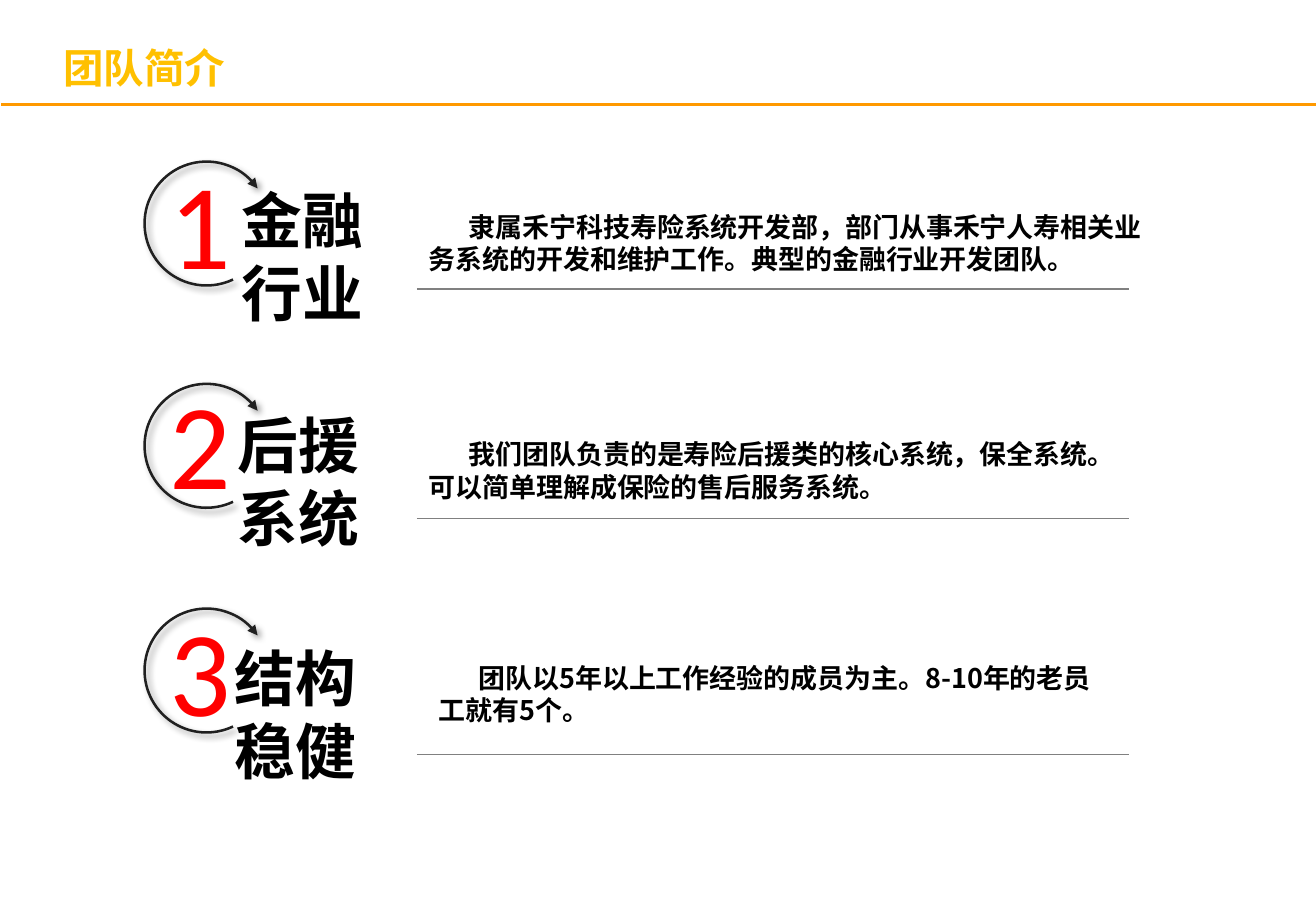
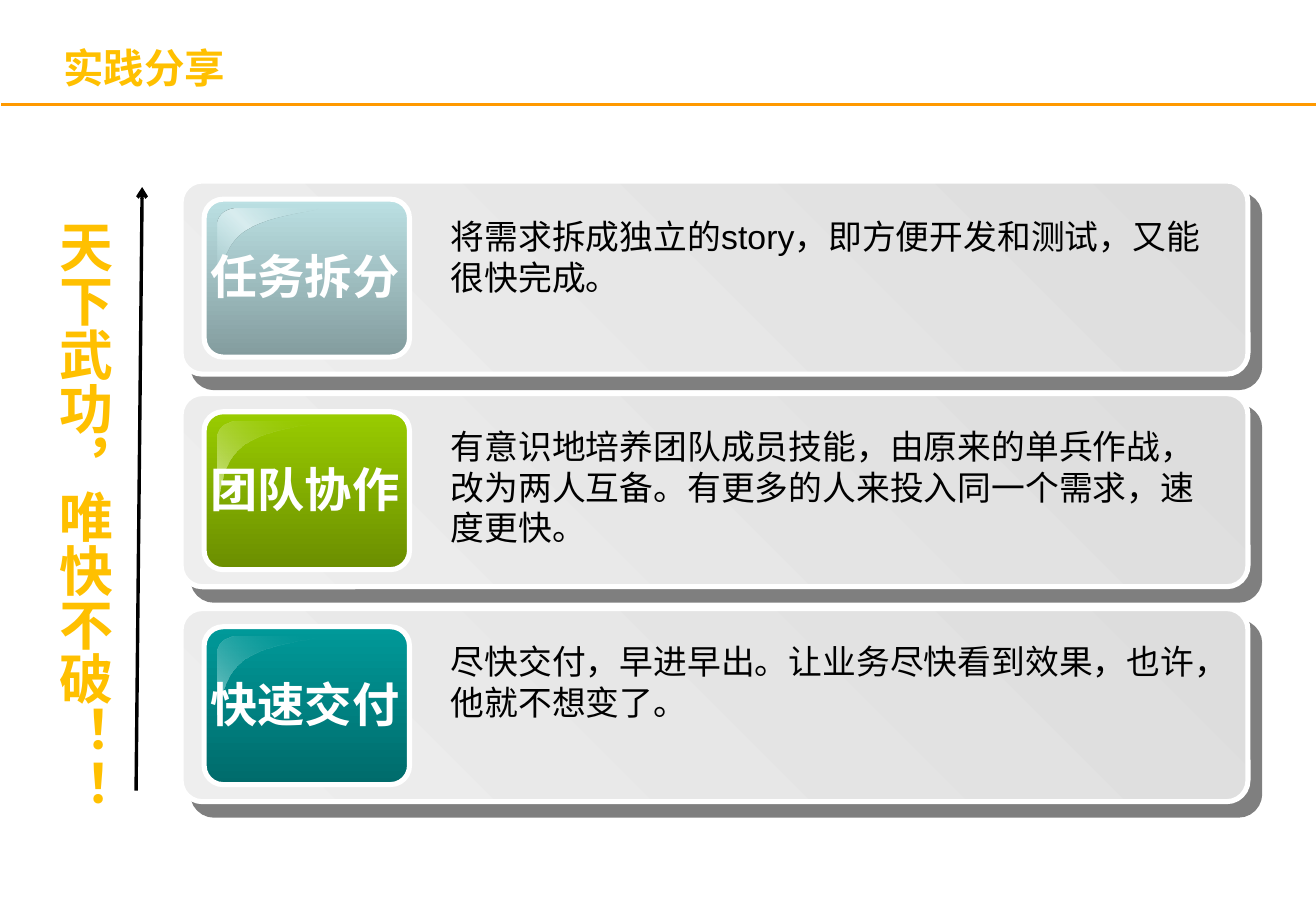
"""Build two slides: a team introduction and a summary of working practices."""
from dataclasses import dataclass
from typing import Any

import lxml.etree
import pptx
import pptx.dml.color
import pptx.enum.shapes
import pptx.enum.text
import pptx.oxml
import pptx.oxml.ns
import pptx.slide
import pptx.util

Inches = pptx.util.Inches
Pt = pptx.util.Pt
Shape = pptx.enum.shapes.MSO_SHAPE
Anchor = pptx.enum.text.MSO_ANCHOR
Align = pptx.enum.text.PP_ALIGN
AutoSize = pptx.enum.text.MSO_AUTO_SIZE
qn = pptx.oxml.ns.qn

COLORS = {
    "gold": "FFC000",
    "rule": "FF9900",
    "number": "FF0000",
    "arc": "202020",
    "divider": "808080",
    "black": "000000",
    "white": "FFFFFF",
    "card_light": "EEEEEE",
    "card_dark": "DDDDDD",
}
HAN_FONT = "Noto Sans CJK SC"
BODY_FONT = "Arial"
NUMBER_FONT = "Calibri"

Point = tuple[float, float]


@dataclass(frozen=True)
class Stop:
    position: int
    color: str
    alpha: int = 100


@dataclass(frozen=True)
class Feature:
    number: str
    number_top: float
    arc_top: float
    heading: str
    heading_box: tuple[float, float, float, float]
    detail: str
    detail_box: tuple[float, float, float, float]
    divider_y: float


@dataclass(frozen=True)
class Practice:
    top: float
    label: str
    detail: str
    detail_top: float
    detail_height: float
    light: str
    dark: str
    gloss: tuple[Stop, ...]


FEATURES = (
    Feature("1", 1.17, 1.33, "金融行业", (1.89, 1.46, 1.68, 1.3),
            "隶属禾宁科技寿险系统开发部，部门从事禾宁人寿相关业务系统的开发和维护工作。典型的金融行业开发团队。",
            (3.43, 1.68, 6.21, 0.64), 2.38),
    Feature("2", 2.98, 3.16, "后援系统", (1.86, 3.31, 1.6, 1.3),
            "我们团队负责的是寿险后援类的核心系统，保全系统。可以简单理解成保险的售后服务系统。",
            (3.43, 3.55, 5.94, 0.64), 4.27),
    Feature("3", 4.85, 5.01, "结构稳健", (1.83, 5.23, 1.63, 1.3),
            "团队以5年以上工作经验的成员为主。8-10年的老员工就有5个。",
            (3.51, 5.39, 5.78, 0.64), 6.21),
)

PRACTICES = (
    Practice(1.49, "任务拆分", "将需求拆成独立的story，即方便开发和测试，又能很快完成。",
             1.73, 0.77, "BBE0E3", "839C9E",
             (Stop(0, "BBE0E3", 0), Stop(50, "DAEEF0"), Stop(100, "BBE0E3", 0))),
    Practice(3.24, "团队协作",
             "有意识地培养团队成员技能，由原来的单兵作战，改为两人互备。有更多的人来投入同一个需求，速度更快。",
             3.46, 1.1, "99CC00", "6B8E00",
             (Stop(0, "D4E993"), Stop(100, "99CC00", 0))),
    Practice(5.01, "快速交付", "尽快交付，早进早出。让业务尽快看到效果，也许，他就不想变了。",
             5.23, 0.77, "009999", "006B6B",
             (Stop(0, "83CDCD"), Stop(100, "009999", 0))),
)


def rgb(color: str) -> pptx.dml.color.RGBColor:
    """Turn a hex string into a colour."""
    return pptx.dml.color.RGBColor.from_string(color)


def add_text(shapes: Any, text: str, left: float, top: float, width: float, height: float, *,
             size: int, color: str, font: str = HAN_FONT, bold: bool = False,
             align: Align = Align.LEFT, anchor: Anchor = Anchor.TOP,
             wrap: bool = True, grow: bool = True, indent: float = 0,
             vertical: bool = False) -> None:
    """Add a one-paragraph text box in the given format."""
    box = shapes.add_textbox(Inches(left), Inches(top), Inches(width), Inches(height))
    frame = box.text_frame
    frame.word_wrap = wrap
    frame.auto_size = AutoSize.SHAPE_TO_FIT_TEXT if grow else AutoSize.NONE
    frame.vertical_anchor = anchor
    if vertical:
        frame._txBody.bodyPr.set("vert", "eaVert")
    para = frame.paragraphs[0]
    para.alignment = align
    if indent:
        para._p.get_or_add_pPr().set("indent", str(Inches(indent)))
    span = para.add_run()
    span.text = text
    span.font.size = Pt(size)
    span.font.bold = bold
    span.font.name = font
    span.font.color.rgb = rgb(color)
    properties = span._r.get_or_add_rPr()
    lxml.etree.SubElement(properties, qn("a:ea")).set("typeface", HAN_FONT)


def add_arrowhead(shape: Any, kind: str) -> None:
    """Put an arrowhead on the far end of a line."""
    lxml.etree.SubElement(shape.line._get_or_add_ln(), qn("a:tailEnd")).set("type", kind)


def add_line(page: pptx.slide.Slide, start: Point, end: Point, color: str,
             weight: float, head: str = "") -> None:
    """Draw a straight line without a shadow."""
    line = page.shapes.add_connector(
        pptx.enum.shapes.MSO_CONNECTOR.STRAIGHT,
        Inches(start[0]), Inches(start[1]), Inches(end[0]), Inches(end[1]))
    line.line.color.rgb = rgb(color)
    line.line.width = Pt(weight)
    if head:
        add_arrowhead(line, head)
    lxml.etree.SubElement(line._element.spPr, qn("a:effectLst"))


def add_color(parent: Any, color: str, alpha: int) -> None:
    """Append a colour with an opacity in percent."""
    node = lxml.etree.SubElement(parent, qn("a:srgbClr"))
    node.set("val", color)
    if alpha < 100:
        lxml.etree.SubElement(node, qn("a:alpha")).set("val", str(alpha * 1000))


def set_shadow(shape: Any, alpha: int, blur: float, distance: float, angle: int) -> None:
    """Give a shape a black outer shadow."""
    shape.shadow.inherit = False
    effects = shape._element.spPr.find(qn("a:effectLst"))
    shadow = lxml.etree.SubElement(effects, qn("a:outerShdw"))
    shadow.set("blurRad", str(Pt(blur)))
    shadow.set("dist", str(Pt(distance)))
    shadow.set("dir", str(angle * 60000))
    shadow.set("algn", "ctr")
    shadow.set("rotWithShape", "0")
    add_color(shadow, COLORS["black"], alpha)


def set_gradient(shape: Any, stops: tuple[Stop, ...], angle: int) -> None:
    """Fill a shape with a linear gradient, its angle counted clockwise."""
    shape.fill.gradient()
    shape.fill.gradient_angle = 360 - angle
    stop_list = shape._element.spPr.find(qn("a:gradFill")).find(qn("a:gsLst"))
    for old_stop in list(stop_list):
        stop_list.remove(old_stop)
    for stop in stops:
        node = lxml.etree.SubElement(stop_list, qn("a:gs"))
        node.set("pos", str(stop.position * 1000))
        add_color(node, stop.color, stop.alpha)


def add_panel(shapes: Any, left: float, top: float, width: float, height: float,
              corner: float, light: str, dark: str, angle: int) -> Any:
    """Add a rounded gradient panel with a white border."""
    panel = shapes.add_shape(Shape.ROUNDED_RECTANGLE,
                             Inches(left), Inches(top), Inches(width), Inches(height))
    panel.adjustments[0] = corner
    panel.shadow.inherit = False
    set_gradient(panel, (Stop(0, light), Stop(100, dark)), angle)
    panel.line.color.rgb = rgb(COLORS["white"])
    panel.line.width = Pt(3)
    return panel


def curve(start: Point, first: Point, second: Point, end: Point, steps: int = 12) -> list[Point]:
    """Sample a cubic curve, leaving out its start."""
    points = []
    for step in range(1, steps + 1):
        t = step / steps
        weights = ((1 - t) ** 3, 3 * t * (1 - t) ** 2, 3 * t * t * (1 - t), t ** 3)
        x, y = (sum(weight * value for weight, value in zip(weights, axis))
                for axis in zip(start, first, second, end))
        points.append((x, y))
    return points


def add_gloss(shapes: Any, left: float, top: float, stops: tuple[Stop, ...]) -> None:
    """Add the curved highlight in the corner of a tile."""
    outline = [
        *curve((0.16, 0), (0.07, 0), (0, 0.06), (0, 0.13)),
        (0, 0.64),
        *curve((0, 0.64), (0.03, 0.65), (0.01, 0.33), (0.22, 0.19)),
        *curve((0.22, 0.19), (0.44, 0.04), (0.84, 0.03), (0.83, 0)),
    ]
    builder = shapes.build_freeform(Inches(left + 0.16), Inches(top), scale=1.0)
    builder.add_line_segments([(Inches(left + x), Inches(top + y)) for x, y in outline])
    gloss = builder.convert_to_shape()
    gloss.shadow.inherit = False
    set_gradient(gloss, stops, 315)
    gloss.line.fill.background()


def add_page(deck: Any, title: str) -> pptx.slide.Slide:
    """Add a blank page with the shared title and rule."""
    page = deck.slides.add_slide(deck.slide_layouts[6])
    add_line(page, (0.01, 0.86), (10.84, 0.86), COLORS["rule"], 2)
    add_text(page.shapes, title, 0.42, 0.25, 9.22, 0.61, size=24, color=COLORS["gold"],
             bold=True, anchor=Anchor.MIDDLE, grow=False)
    return page


def add_feature(page: pptx.slide.Slide, feature: Feature) -> None:
    """Add a numbered heading with its detail and divider."""
    add_text(page.shapes, feature.number, 1.3, feature.number_top, 1.72, 1.3,
             size=72, color=COLORS["number"], font=NUMBER_FONT)
    arc = page.shapes.add_shape(Shape.ARC, Inches(1.19), Inches(feature.arc_top),
                                Inches(1.02), Inches(1.02))
    arc.adjustments[0] = 62.74
    arc.adjustments[1] = 3.24
    arc.rotation = 320.1
    arc.fill.background()
    arc.line.color.rgb = rgb(COLORS["arc"])
    arc.line.width = Pt(1.5)
    add_arrowhead(arc, "triangle")
    set_shadow(arc, 40, 4, 3, 45)
    add_text(page.shapes, feature.heading, *feature.heading_box,
             size=36, color=COLORS["black"], bold=True)
    add_line(page, (3.43, feature.divider_y), (9.29, feature.divider_y), COLORS["divider"], 0.75)
    add_text(page.shapes, feature.detail, *feature.detail_box, size=16, color=COLORS["black"],
             bold=True, anchor=Anchor.MIDDLE, indent=0.33)


def add_practice(page: pptx.slide.Slide, practice: Practice) -> None:
    """Add a card with a glossy label tile and its detail."""
    shapes = page.shapes.add_group_shape().shapes
    top = practice.top
    card = add_panel(shapes, 1.49, top, 8.78, 1.59, 0.11,
                     COLORS["card_light"], COLORS["card_dark"], 315)
    set_shadow(card, 50, 0, 10.6, 49)
    add_panel(shapes, 1.68, top + 0.15, 1.69, 1.3, 0.12, practice.light, practice.dark, 90)
    add_gloss(shapes, 1.79, top + 0.23, practice.gloss)
    add_text(shapes, practice.label, 1.63, top + 0.5, 1.76, 0.57, size=28, font=BODY_FONT,
             color=COLORS["white"], bold=True, align=Align.CENTER, wrap=False)
    add_text(shapes, practice.detail, 3.61, practice.detail_top, 6.45, practice.detail_height,
             size=20, font=BODY_FONT, color=COLORS["black"])


def main() -> None:
    """Build and save the deck."""
    deck = pptx.Presentation()
    deck.slide_width = Inches(10.83)
    deck.slide_height = Inches(7.5)

    team_page = add_page(deck, "团队简介")
    for feature in FEATURES:
        add_feature(team_page, feature)

    practice_page = add_page(deck, "实践分享")
    for practice in PRACTICES:
        add_practice(practice_page, practice)
    add_line(practice_page, (1.12, 6.51), (1.17, 1.54), COLORS["black"], 2, head="arrow")
    add_text(practice_page.shapes, "天下武功，唯快不破！！", 0.28, 1.71, 0.73, 4.89, size=32,
             font=BODY_FONT, color=COLORS["gold"], bold=True, align=Align.CENTER,
             wrap=False, vertical=True)

    deck.save("out.pptx")


if __name__ == "__main__":
    main()
